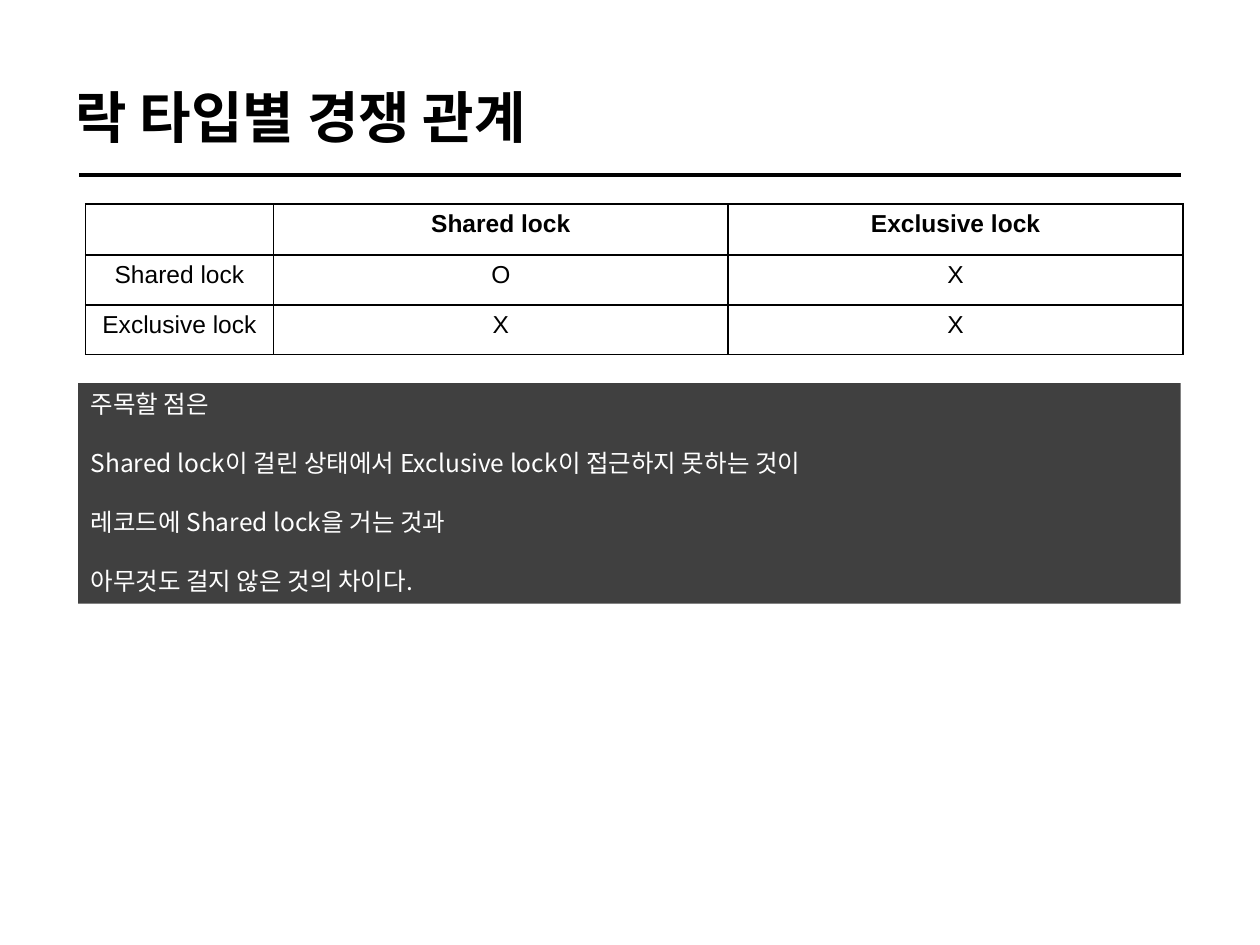
from lxml import etree
from pptx import Presentation
from pptx.dml.color import RGBColor
from pptx.enum.shapes import MSO_CONNECTOR, MSO_SHAPE
from pptx.enum.text import MSO_ANCHOR, PP_ALIGN
from pptx.oxml.ns import qn
from pptx.util import Inches, Pt

COLORS = {"ink": "000000", "panel": "404040", "paper": "FFFFFF"}
KOREAN, LATIN = "Noto Sans CJK KR", "Arial"
TITLE = "락 타입별 경쟁 관계"
LOCK_ROWS = [
    ["", "Shared lock", "Exclusive lock"],
    ["Shared lock", "O", "X"],
    ["Exclusive lock", "X", "X"],
]
NOTE_LINES = [
    "주목할 점은",
    "Shared lock이 걸린 상태에서 Exclusive lock이 접근하지 못하는 것이",
    "레코드에 Shared lock을 거는 것과",
    "아무것도 걸지 않은 것의 차이다.",
]


def rgb(name):
    return RGBColor.from_string(COLORS[name])


def format_runs(p, size, font, color="ink", bold=False):
    for r in p.runs:
        r.font.size = Pt(size)
        r.font.bold = bold
        r.font.name = font
        r.font.color.rgb = rgb(color)
        # Hangul takes its typeface from the East Asian font slot
        east_asian = etree.Element(qn("a:ea"), typeface=font)
        r.font._element.find(qn("a:latin")).addnext(east_asian)


def add_title(slide):
    title = slide.shapes.title
    title.left, title.top = Inches(0.5), Inches(0.21)
    title.width, title.height = Inches(9), Inches(1.42)
    tf = title.text_frame
    tf.text = TITLE
    tf.vertical_anchor = MSO_ANCHOR.MIDDLE
    p = tf.paragraphs[0]
    p.alignment = PP_ALIGN.LEFT
    format_runs(p, 32, KOREAN, bold=True)


def add_rule(slide):
    y = Inches(1.39)
    rule = slide.shapes.add_connector(
        MSO_CONNECTOR.STRAIGHT, Inches(0.63), y, Inches(9.37), y)
    rule.line.color.rgb = rgb("ink")
    rule.line.width = Pt(2)
    etree.SubElement(rule._element.spPr, qn("a:effectLst"))


def add_note(slide):
    sp = slide.shapes.add_shape(
        MSO_SHAPE.RECTANGLE, Inches(0.62), Inches(3.04), Inches(8.75), Inches(1.75))
    sp.shadow.inherit = False
    sp.fill.solid()
    sp.fill.fore_color.rgb = rgb("panel")
    sp.line.fill.background()
    tf = sp.text_frame
    tf.word_wrap = True
    tf.vertical_anchor = MSO_ANCHOR.TOP
    tf.text = "\n".join(NOTE_LINES)
    for i, p in enumerate(tf.paragraphs):
        p.alignment = PP_ALIGN.LEFT
        p.line_spacing = Pt(16.85)
        if i:
            p.space_before = Pt(16.85)
        format_runs(p, 14, KOREAN, "paper")


def set_borders(cell):
    tc_pr = cell._tc.get_or_add_tcPr()
    for i, side in enumerate(("lnL", "lnR", "lnT", "lnB")):
        ln = etree.Element(qn(f"a:{side}"), w=str(Pt(1)))
        fill = etree.SubElement(ln, qn("a:solidFill"))
        etree.SubElement(fill, qn("a:srgbClr"), val=COLORS["ink"])
        tc_pr.insert(i, ln)


def add_lock_table(slide):
    table = slide.shapes.add_table(
        len(LOCK_ROWS), len(LOCK_ROWS[0]),
        Inches(0.68), Inches(1.62), Inches(8.71), Inches(1.18)).table
    for column, width in zip(table.columns, (1.49, 3.61, 3.61)):
        column.width = Inches(width)
    for i, texts in enumerate(LOCK_ROWS):
        for j, text in enumerate(texts):
            cell = table.cell(i, j)
            cell.fill.background()
            set_borders(cell)
            cell.text_frame.text = text
            p = cell.text_frame.paragraphs[0]
            p.alignment = PP_ALIGN.CENTER
            format_runs(p, 14, LATIN, bold=i == 0)


def main():
    prs = Presentation()
    prs.slide_width, prs.slide_height = Inches(10), Inches(7.5)
    slide = prs.slides.add_slide(prs.slide_layouts[5])
    add_title(slide)
    add_rule(slide)
    add_note(slide)
    add_lock_table(slide)
    prs.save("out.pptx")


if __name__ == "__main__":
    main()
